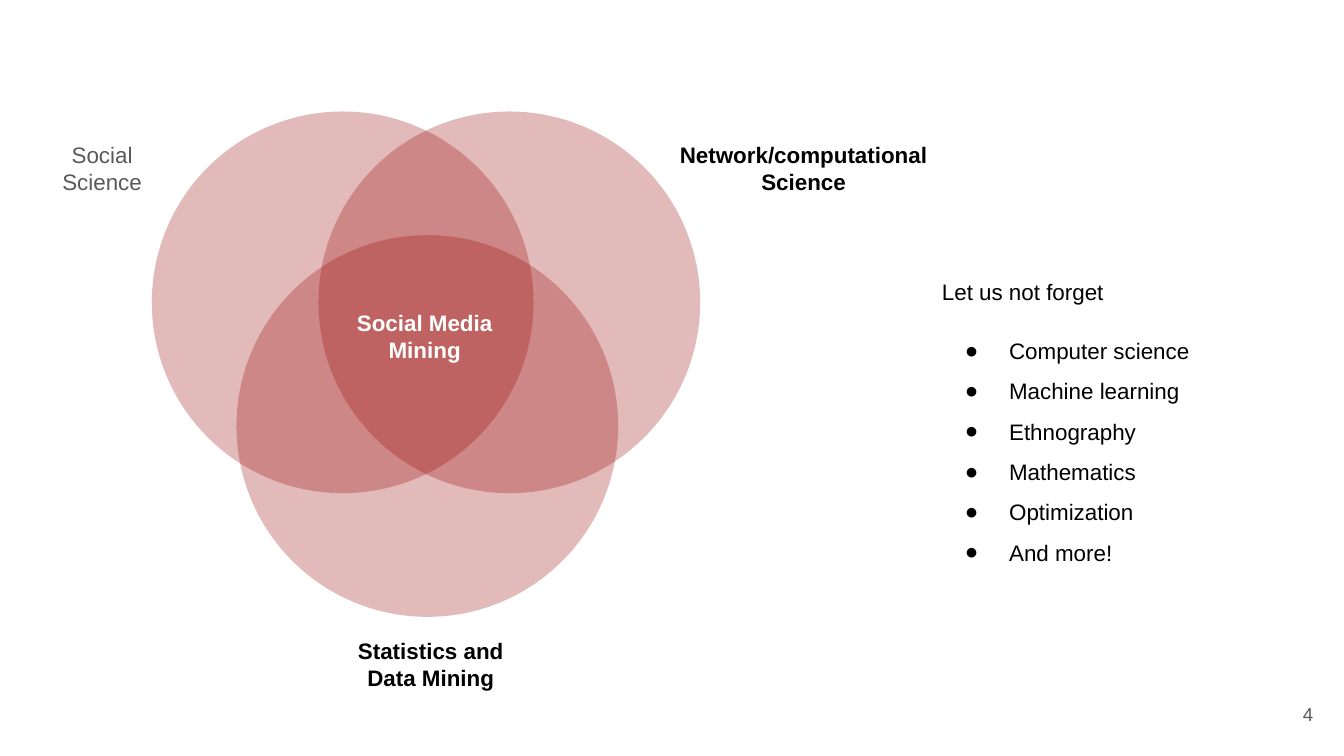
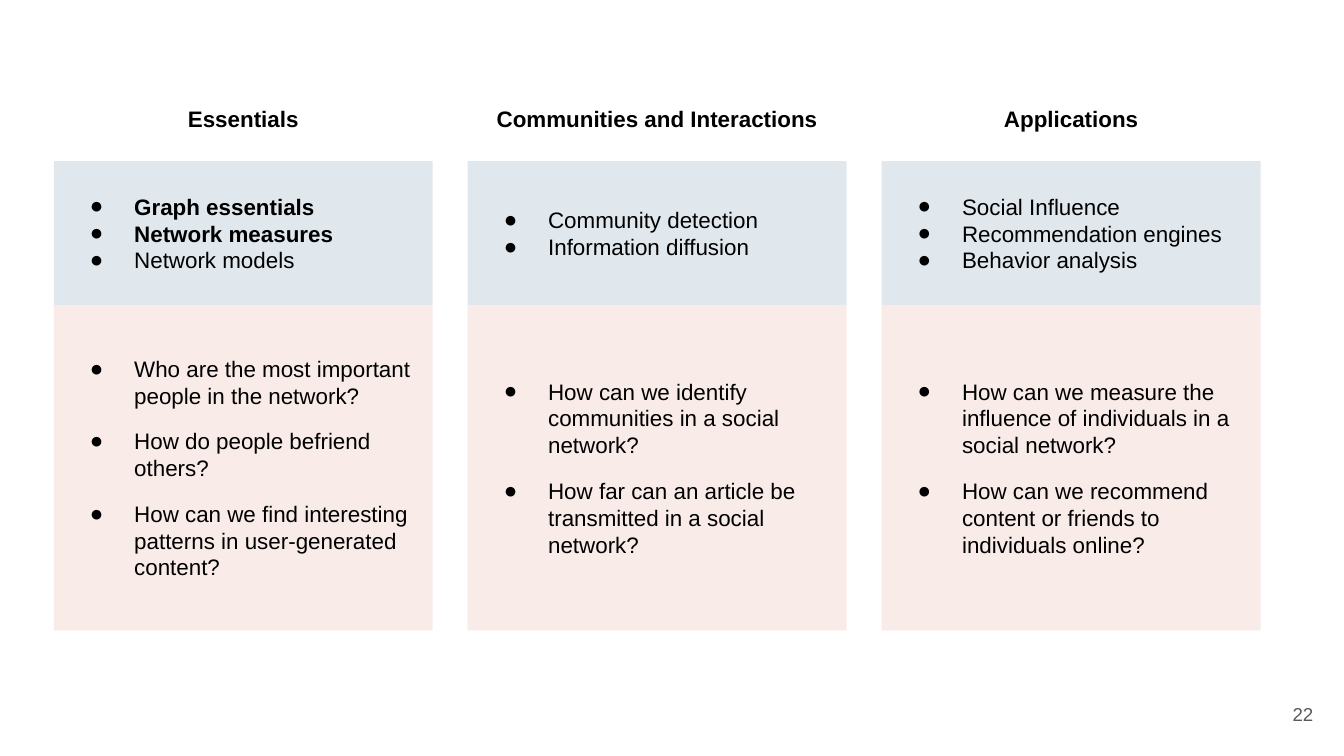
from lxml import etree
from pptx import Presentation
from pptx.dml.color import RGBColor
from pptx.enum.shapes import MSO_SHAPE
from pptx.enum.text import MSO_ANCHOR, PP_ALIGN
from pptx.oxml.ns import qn
from pptx.util import Inches, Pt

OVAL, RECT = MSO_SHAPE.OVAL, MSO_SHAPE.RECTANGLE
TOP, MIDDLE = MSO_ANCHOR.TOP, MSO_ANCHOR.MIDDLE
LEFT, CENTER, RIGHT = PP_ALIGN.LEFT, PP_ALIGN.CENTER, PP_ALIGN.RIGHT

FONT = "Arial"
BLACK, WHITE, GRAY = "000000", "FFFFFF", "595959"
RED, BLUE, ROSE = "980000", "003B71", "E6B8AF"

SIZE = 2.84
CIRCLES = [(1.13, 0.83), (2.37, 0.83), (1.76, 1.75)]
LABELS = [
    ("Social Science", (0.12, 1.07, 1.28, 0.36), GRAY, False),
    ("Network/computational Science", (4.96, 1.07, 2.04, 0.36), BLACK, True),
    ("Statistics and Data Mining", (2.45, 4.76, 1.51, 0.36), BLACK, True),
    ("Social Media Mining", (2.52, 2.26, 1.28, 0.48), WHITE, True),
]
INTRO = "Let us not forget"
FIELDS = ["Computer science", "Machine learning", "Ethnography",
          "Mathematics", "Optimization", "And more!"]

START, WIDTH, STEP = 0.4, 2.82, 3.08
PARTS = [
    ("Essentials",
     ["Graph essentials", "Network measures", "Network models"],
     ["Who are the most important people in the network?",
      "How do people befriend others?",
      "How can we find interesting patterns in user-generated content?"]),
    ("Communities and Interactions",
     ["Community detection", "Information diffusion"],
     ["How can we identify communities in a social network?",
      "How far can an article be transmitted in a social network?"]),
    ("Applications",
     ["Social Influence", "Recommendation engines", "Behavior analysis"],
     ["How can we measure the influence of individuals in a social network?",
      "How can we recommend content or friends to individuals online?"]),
]
STRONG = {"Graph essentials", "Network measures"}


def color(value):
    return RGBColor.from_string(value)


def add_panel(slide, kind, box, fill, alpha):
    shape = slide.shapes.add_shape(kind, *map(Inches, box))
    shape.shadow.inherit = False
    shape.fill.solid()
    shape.fill.fore_color.rgb = color(fill)
    shape.line.fill.background()
    tone = shape.element.spPr.find(".//" + qn("a:srgbClr"))
    etree.SubElement(tone, qn("a:alpha"), val=str(alpha * 1000))
    return shape


def add_bullet(par):
    props = par._p.get_or_add_pPr()
    props.set("marL", str(Inches(0.5)))
    props.set("indent", str(Inches(-0.33)))
    tint = etree.Element(qn("a:buClr"))
    etree.SubElement(tint, qn("a:srgbClr"), val=BLACK)
    face = etree.Element(qn("a:buFont"), typeface=FONT)
    mark = etree.Element(qn("a:buChar"), char="●")
    spot = len(props) - len(props.findall(qn("a:defRPr")))
    props[spot:spot] = [tint, face, mark]


def write(shape, lines, align=LEFT, anchor=MIDDLE, size=12, tone=BLACK,
          bold=False, space=None):
    frame = shape.text_frame
    frame.word_wrap = True
    frame.vertical_anchor = anchor
    frame.margin_left = frame.margin_right = Inches(0.1)
    frame.margin_top = frame.margin_bottom = Inches(0.1)
    frame.text = "\n".join(lines)
    for par in frame.paragraphs:
        par.alignment = align
        if space:
            par.line_spacing = space
        font = par.font
        font.name, font.size, font.bold = FONT, Pt(size), bold
        font.color.rgb = color(tone)
    return frame.paragraphs


def add_text(slide, box, lines, **style):
    return write(slide.shapes.add_textbox(*map(Inches, box)), lines, **style)


def add_page(deck, number):
    slide = deck.slides.add_slide(deck.slide_layouts[6])
    add_text(slide, (9.27, 5.1, 0.6, 0.43), [number],
             align=RIGHT, size=10, tone=GRAY)
    return slide


def build_venn(deck):
    slide = add_page(deck, "4")
    for spot in CIRCLES:
        add_panel(slide, OVAL, (*spot, SIZE, SIZE), RED, 27)
    for text, box, tone, bold in LABELS:
        add_text(slide, box, [text], align=CENTER, tone=tone, bold=bold)
    pars = add_text(slide, (6.91, 1.87, 2.75, 3.13), [INTRO, *FIELDS],
                    anchor=TOP, space=1.5)
    pars[1].space_before = Pt(10)
    for par in pars[1:]:
        add_bullet(par)


def build_parts(deck):
    slide = add_page(deck, "22")
    for index, (head, topics, asks) in enumerate(PARTS):
        left = START + index * STEP
        title = add_text(slide, (left, 0.67, WIDTH, 0.4), [head],
                         align=CENTER, bold=True, space=1.15)
        title[0].space_after = Pt(10)

        panel = add_panel(slide, RECT, (left, 1.2, WIDTH, 1.07), BLUE, 12)
        for par in write(panel, topics):
            par.font.bold = par.text in STRONG
            add_bullet(par)

        panel = add_panel(slide, RECT, (left, 2.27, WIDTH, 2.42), ROSE, 28)
        pars = write(panel, asks)
        for par in pars[1:]:
            par.space_before = Pt(10)
        pars[-1].space_after = Pt(10)
        for par in pars:
            add_bullet(par)


def main():
    deck = Presentation()
    deck.slide_width = Inches(10)
    deck.slide_height = deck.slide_width * 9 // 16
    build_venn(deck)
    build_parts(deck)
    deck.save("out.pptx")


if __name__ == "__main__":
    main()
